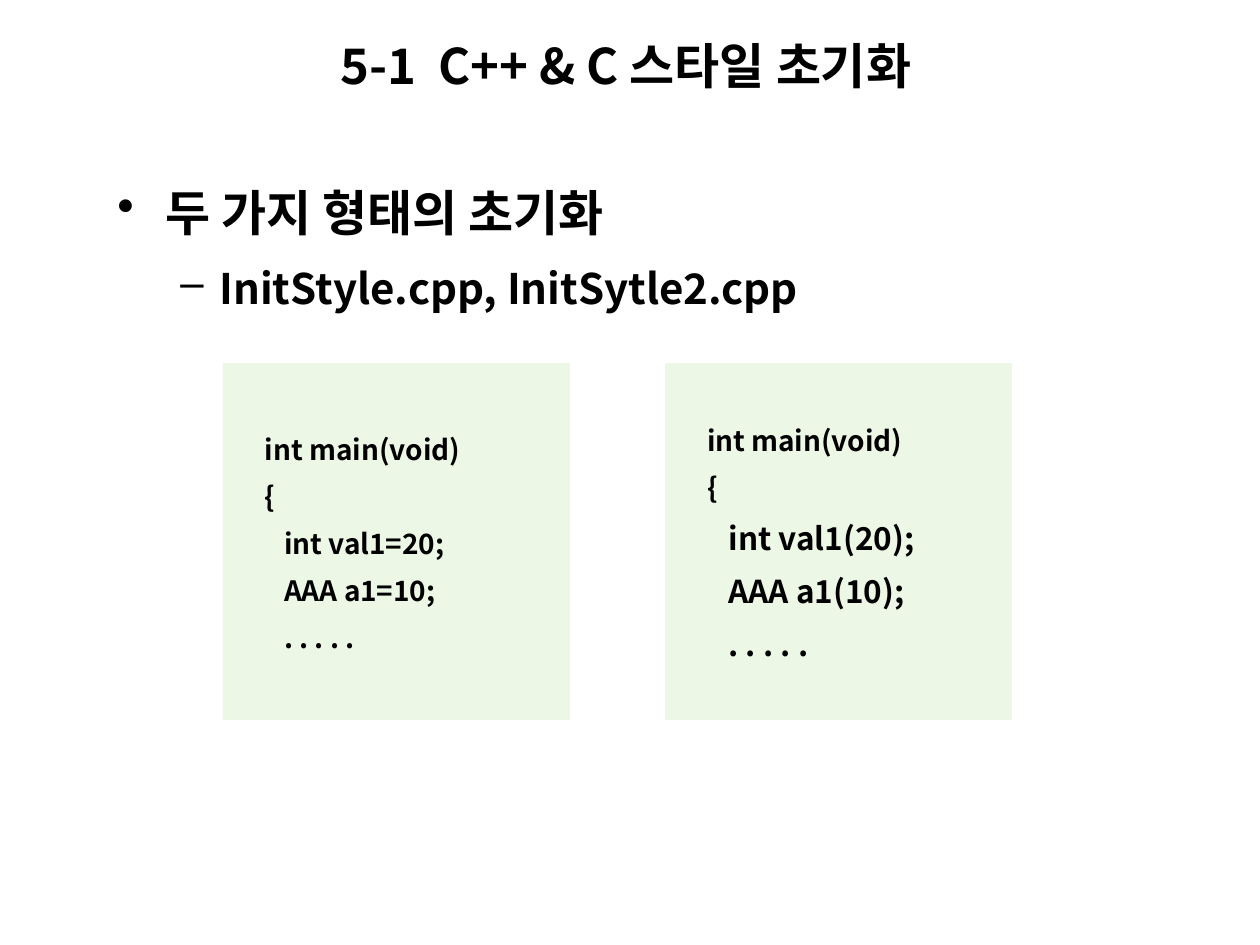
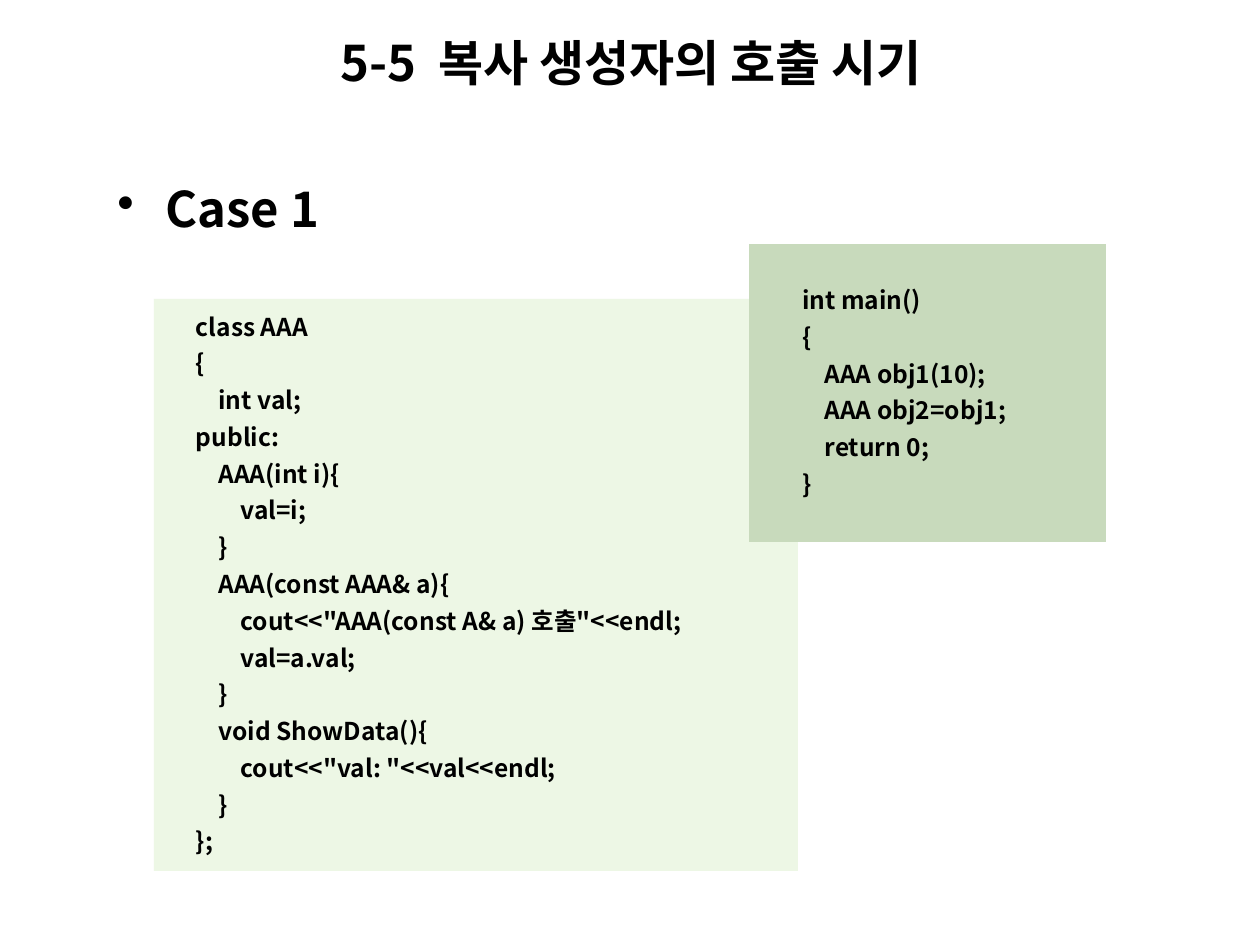
"""Build two slides on C++ initialisation and copy constructor calls."""
from dataclasses import dataclass

from lxml import etree
from pptx import Presentation
from pptx.dml.color import RGBColor
from pptx.enum.shapes import MSO_SHAPE
from pptx.enum.text import MSO_ANCHOR, MSO_AUTO_SIZE, PP_ALIGN
from pptx.oxml.ns import qn
from pptx.util import Pt

RECT = MSO_SHAPE.RECTANGLE
MIDDLE = MSO_ANCHOR.MIDDLE
GROW = MSO_AUTO_SIZE.SHAPE_TO_FIT_TEXT
LEFT = PP_ALIGN.LEFT
PX = 914400 / 126


@dataclass(frozen=True)
class Theme:
    """Fonts, colours and type sizes shared by the slides."""
    font: str = "Noto Sans CJK KR"
    ink: RGBColor = RGBColor(0, 0, 0)
    pale: RGBColor = RGBColor(0xED, 0xF7, 0xE5)
    sage: RGBColor = RGBColor(0xC8, 0xDA, 0xBC)
    head: int = 28
    sub: int = 24
    large: int = 18
    code: int = 16
    small: int = 14


T = Theme()


def px(*vals):
    """Turn pixels into EMU."""
    return [round(val * PX) for val in vals]


def write(frame, row, text, size, gap=1.0):
    """Fill one paragraph of a frame and return it."""
    para = frame.paragraphs[0] if row == 0 else frame.add_paragraph()
    para.text = text
    para.alignment = LEFT
    para.line_spacing = gap
    font = para.font
    font.name, font.size, font.bold = T.font, Pt(size), True
    font.color.rgb = T.ink
    props = para._p.get_or_add_pPr()
    east = etree.SubElement(props.find(qn("a:defRPr")), qn("a:ea"))
    east.set("typeface", T.font)
    return para


STYLES = [("•", T.head, 7, 48, 48), ("–", T.sub, 6, 102, 39)]

ASSIGN = """int main(void)
{
   int val1=20;
   AAA a1=10;
   . . . . ."""

CALL = """int main(void)
{
   int val1(20);
   AAA a1(10);
   . . . . ."""

CLASS = """class AAA
{
    int val;
public:
    AAA(int i){
        val=i;
    }
    AAA(const AAA& a){
        cout<<"AAA(const A& a) 호출"<<endl;
        val=a.val;
    }
    void ShowData(){
        cout<<"val: "<<val<<endl;
    }
};"""

MAIN = """  int main()
  {
      AAA obj1(10);
      AAA obj2=obj1;
      return 0;
  }"""

SLIDES = [
    ("5-1  C++ & C 스타일 초기화", (328, 29, 704, 72),
     ["두 가지 형태의 초기화", "InitStyle.cpp, InitSytle2.cpp"],
     (105, 165, 759, 154),
     [(ASSIGN, (223, 363, 347, 357), T.pale, T.code, T.code, 1.4),
      (CALL, (665, 363, 347, 357), T.pale, T.code, T.large, 1.4)]),
    ("5-5  복사 생성자의 호출 시기", (328, 26, 714, 72),
     ["Case 1"], (105, 161, 372, 83),
     [(CLASS, (154, 299, 644, 572), T.pale, T.small, T.small, 1.25),
      (MAIN, (749, 244, 357, 298), T.sage, T.small, T.small, 1.25)]),
]

deck = Presentation()
deck.slide_width, deck.slide_height = px(1260, 945)

for title, place, points, area, panels in SLIDES:
    slide = deck.slides.add_slide(deck.slide_layouts[6])
    shapes = slide.shapes

    for code, spot, fill, first, rest, gap in panels:
        panel = shapes.add_shape(RECT, *px(*spot))
        panel.shadow.inherit = False
        panel.fill.solid()
        panel.fill.fore_color.rgb = fill
        panel.line.fill.background()
        frame = panel.text_frame
        frame.word_wrap = True
        frame.vertical_anchor = MIDDLE
        (frame.margin_left, frame.margin_top,
         frame.margin_right, frame.margin_bottom) = px(42, 16, 13, 26)
        for row, line in enumerate(code.splitlines()):
            text = line.lstrip()
            size = first if row < 2 else rest
            para = write(frame, row, text, size, gap)
            inset = (len(line) - len(text)) * size * 0.4
            para._p.pPr.set("marL", str(px(inset)[0]))

    frame = shapes.add_textbox(*px(*area)).text_frame
    frame.word_wrap = True
    for row, (text, style) in enumerate(zip(points, STYLES)):
        mark, size, space, left, hang = style
        para = write(frame, row, text, size, 1.2)
        para.space_before = Pt(space)
        props = para._p.pPr
        props.set("marL", str(px(left)[0]))
        props.set("indent", str(px(-hang)[0]))
        bullet = etree.Element(qn("a:buChar"), char=mark)
        props.find(qn("a:defRPr")).addprevious(bullet)

    frame = shapes.add_textbox(*px(*place)).text_frame
    frame.word_wrap = True
    frame.auto_size = GROW
    frame.vertical_anchor = MIDDLE
    write(frame, 0, title, T.head)

deck.save("out.pptx")
